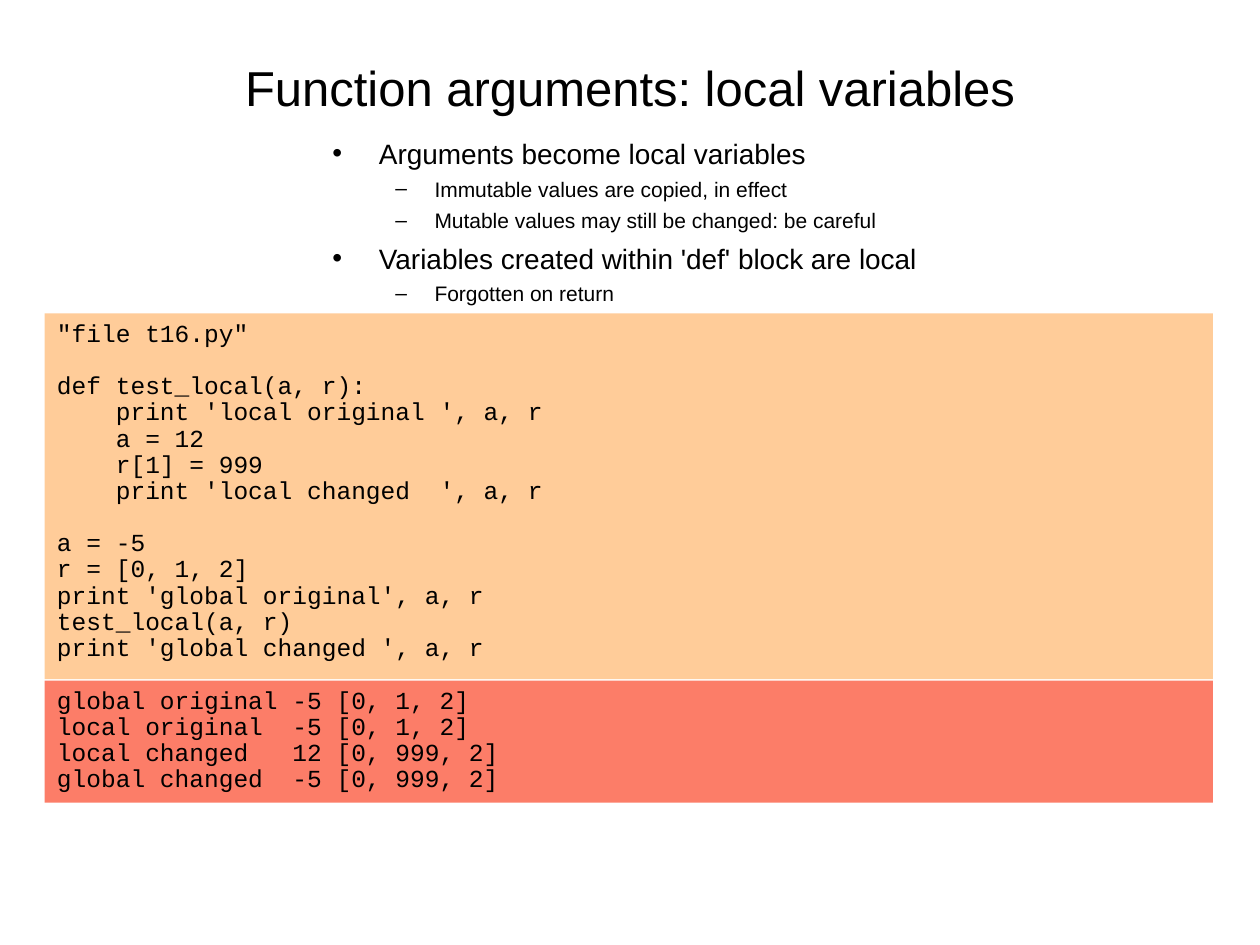
from dataclasses import dataclass

from lxml import etree
from pptx import Presentation
from pptx.dml.color import RGBColor
from pptx.enum.shapes import MSO_SHAPE
from pptx.enum.text import MSO_ANCHOR, PP_ALIGN
from pptx.oxml.ns import qn
from pptx.util import Cm, Pt

RECTANGLE = MSO_SHAPE.RECTANGLE
TOP = MSO_ANCHOR.TOP
LEFT, CENTER = PP_ALIGN.LEFT, PP_ALIGN.CENTER
BLANK_LAYOUT = 6


@dataclass(frozen=True)
class Theme:
    ink: str = "000000"
    code_fill: str = "FFCC99"
    output_fill: str = "FC7D68"
    text_font: str = "Arial"
    code_font: str = "Courier New"
    title_size: int = 28
    point_sizes: tuple = (16, 12)
    code_size: int = 14
    text_spacing: float = 1.04
    code_spacing: float = 0.89


# One entry per outline level: bullet, text indent and hanging in cm, space before in pt
LEVELS = (("•", 0.94, 0.94, 4), ("–", 2.06, 0.79, 3))

POINTS = (
    (0, "Arguments become local variables"),
    (1, "Immutable values are copied, in effect"),
    (1, "Mutable values may still be changed: be careful"),
    (0, "Variables created within 'def' block are local"),
    (1, "Forgotten on return"),
)

CODE = """"file t16.py"

def test_local(a, r):
    print 'local original ', a, r
    a = 12
    r[1] = 999
    print 'local changed  ', a, r

a = -5
r = [0, 1, 2]
print 'global original', a, r
test_local(a, r)
print 'global changed ', a, r"""

OUTPUT = """global original -5 [0, 1, 2]
local original  -5 [0, 1, 2]
local changed   12 [0, 999, 2]
global changed  -5 [0, 999, 2]"""


def set_all(target, values):
    for name, value in values.items():
        setattr(target, name, value)


class SlideBuilder:
    def __init__(self, slide, theme):
        self.slide = slide
        self.theme = theme

    def frame(self, shape, side=0, edge=0):
        """Set wrapping, anchor and insets (cm) and return the text frame."""
        frame = shape.text_frame
        set_all(frame, {
            "word_wrap": True, "vertical_anchor": TOP,
            "margin_left": Cm(side), "margin_right": Cm(side),
            "margin_top": Cm(edge), "margin_bottom": Cm(edge),
        })
        return frame

    def line(self, frame, index, text, font, size, **layout):
        para = frame.paragraphs[0] if index == 0 else frame.add_paragraph()
        set_all(para, layout)
        if text:
            span = para.add_run()
            span.text = text
            set_all(span.font, {"name": font, "size": Pt(size)})
            span.font.color.rgb = RGBColor.from_string(self.theme.ink)
        else:
            # A blank code line takes its height from the end mark
            end = etree.SubElement(para._p, qn("a:endParaRPr"), sz=str(size * 100))
            etree.SubElement(end, qn("a:latin"), typeface=font)
        return para

    def bullet(self, para, symbol, indent, hanging):
        props = para._p.get_or_add_pPr()
        props.set("marL", str(Cm(indent)))
        props.set("indent", str(-Cm(hanging)))
        color = etree.SubElement(props, qn("a:buClr"))
        etree.SubElement(color, qn("a:srgbClr"), val=self.theme.ink)
        etree.SubElement(props, qn("a:buFont"), typeface=self.theme.text_font)
        etree.SubElement(props, qn("a:buChar"), char=symbol)

    def title(self, text, left, top, width, height):
        box = self.slide.shapes.add_textbox(Cm(left), Cm(top), Cm(width), Cm(height))
        self.line(self.frame(box), 0, text, self.theme.text_font,
                  self.theme.title_size, alignment=CENTER,
                  line_spacing=self.theme.text_spacing)

    def points(self, points, left, top, width, height):
        box = self.slide.shapes.add_textbox(Cm(left), Cm(top), Cm(width), Cm(height))
        frame = self.frame(box)
        for index, (level, text) in enumerate(points):
            symbol, indent, hanging, space = LEVELS[level]
            para = self.line(frame, index, text, self.theme.text_font,
                             self.theme.point_sizes[level], level=level,
                             line_spacing=self.theme.text_spacing,
                             space_before=Pt(space if index else 0))
            self.bullet(para, symbol, indent, hanging)

    def code_panel(self, code, fill, left, top, width, height):
        panel = self.slide.shapes.add_shape(
            RECTANGLE, Cm(left), Cm(top), Cm(width), Cm(height))
        panel.shadow.inherit = False
        panel.fill.solid()
        panel.fill.fore_color.rgb = RGBColor.from_string(fill)
        panel.line.fill.background()
        frame = self.frame(panel, side=0.25, edge=0.16)
        for index, text in enumerate(code.split("\n")):
            self.line(frame, index, text, self.theme.code_font, self.theme.code_size,
                      alignment=LEFT, line_spacing=self.theme.code_spacing)


def main():
    deck = Presentation()
    set_all(deck, {"slide_width": Cm(25.4), "slide_height": Cm(19.05)})
    theme = Theme()
    page = SlideBuilder(deck.slides.add_slide(deck.slide_layouts[BLANK_LAYOUT]), theme)
    page.title("Function arguments: local variables", 1.9, 1.12, 21.6, 1.45)
    page.points(POINTS, 6.7, 2.72, 12.8, 3.6)
    page.code_panel(CODE, theme.code_fill, 0.9, 6.32, 23.55, 7.37)
    page.code_panel(OUTPUT, theme.output_fill, 0.9, 13.72, 23.55, 2.46)
    deck.save("out.pptx")


if __name__ == "__main__":
    main()
